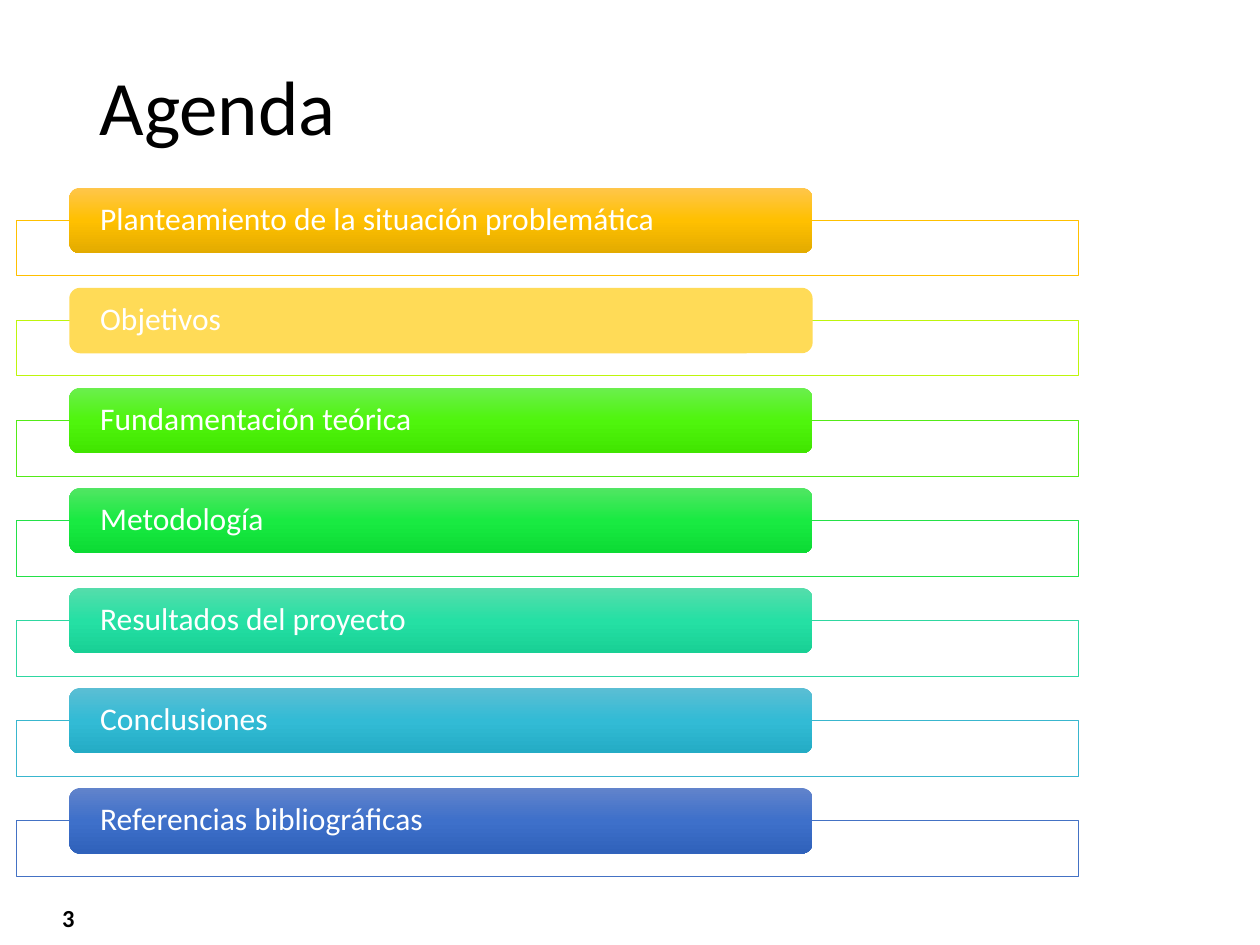
"""Build the agenda slide with seven coloured section bars."""
import copy

import pptx
import pptx.dml.color
import pptx.enum.shapes
import pptx.enum.text
import pptx.oxml
import pptx.oxml.ns
import pptx.util

Inches = pptx.util.Inches
Pt = pptx.util.Pt
RGBColor = pptx.dml.color.RGBColor
Shape = pptx.enum.shapes.MSO_SHAPE
Align = pptx.enum.text.PP_ALIGN
Anchor = pptx.enum.text.MSO_ANCHOR

BLACK = RGBColor(0x00, 0x00, 0x00)
WHITE = RGBColor(0xFF, 0xFF, 0xFF)
AMBER = RGBColor(0xFF, 0xC0, 0x00)
AMBER_LIGHT = RGBColor(0xFF, 0xC6, 0x4B)
AMBER_DARK = RGBColor(0xE3, 0xAB, 0x00)
LIME = RGBColor(0xBE, 0xF5, 0x0C)
YELLOW = RGBColor(0xFF, 0xDB, 0x57)
GRASS = RGBColor(0x53, 0xEB, 0x17)
GRASS_LIGHT = RGBColor(0x6B, 0xEF, 0x4D)
GRASS_MIDDLE = RGBColor(0x4F, 0xF5, 0x0D)
GRASS_DARK = RGBColor(0x41, 0xE5, 0x00)
GREEN = RGBColor(0x23, 0xE1, 0x48)
GREEN_LIGHT = RGBColor(0x51, 0xE6, 0x63)
GREEN_MIDDLE = RGBColor(0x19, 0xEA, 0x42)
GREEN_DARK = RGBColor(0x0C, 0xDB, 0x34)
TEAL = RGBColor(0x2E, 0xD7, 0xA1)
TEAL_LIGHT = RGBColor(0x55, 0xDD, 0xAB)
TEAL_MIDDLE = RGBColor(0x25, 0xE0, 0xA4)
TEAL_DARK = RGBColor(0x18, 0xD0, 0x95)
CYAN = RGBColor(0x39, 0xB6, 0xCE)
CYAN_LIGHT = RGBColor(0x5B, 0xBE, 0xD4)
CYAN_MIDDLE = RGBColor(0x32, 0xBB, 0xD5)
CYAN_DARK = RGBColor(0x24, 0xAC, 0xC5)
BLUE = RGBColor(0x44, 0x72, 0xC4)
BLUE_LIGHT = RGBColor(0x61, 0x83, 0xCB)
BLUE_MIDDLE = RGBColor(0x3E, 0x70, 0xCA)
BLUE_DARK = RGBColor(0x30, 0x62, 0xBB)

SECTIONS = [
    ("Planteamiento de la situación problemática", AMBER, [AMBER_LIGHT, AMBER, AMBER_DARK]),
    ("Objetivos", LIME, [YELLOW]),
    ("Fundamentación teórica", GRASS, [GRASS_LIGHT, GRASS_MIDDLE, GRASS_DARK]),
    ("Metodología", GREEN, [GREEN_LIGHT, GREEN_MIDDLE, GREEN_DARK]),
    ("Resultados del proyecto", TEAL, [TEAL_LIGHT, TEAL_MIDDLE, TEAL_DARK]),
    ("Conclusiones", CYAN, [CYAN_LIGHT, CYAN_MIDDLE, CYAN_DARK]),
    ("Referencias bibliográficas", BLUE, [BLUE_LIGHT, BLUE_MIDDLE, BLUE_DARK]),
]
FIRST_TOP = 1.49
PITCH = 0.794


def write(shape, text, size, color, alignment, bold=False):
    shape.text_frame.vertical_anchor = Anchor.MIDDLE
    paragraph = shape.text_frame.paragraphs[0]
    paragraph.alignment = alignment
    paragraph.line_spacing = 0.9
    run = paragraph.add_run()
    run.text = text
    run.font.name = "Calibri"
    run.font.size = Pt(size)
    run.font.bold = bold
    run.font.color.rgb = color


def paint(fill, colors):
    if len(colors) == 1:
        fill.solid()
        fill.fore_color.rgb = colors[0]
        return
    fill.gradient()
    fill.gradient_angle = 270
    stop_list = shape_stops = bar._element.spPr.find(".//" + pptx.oxml.ns.qn("a:gsLst"))
    stop_list.insert(1, copy.deepcopy(shape_stops[0]))
    for stop, position, color in zip(fill.gradient_stops, (0, 0.5, 1), colors):
        stop.position = position
        stop.color.rgb = color


presentation = pptx.Presentation()
presentation.slide_width = Inches(10)
presentation.slide_height = Inches(7.5)
slide = presentation.slides.add_slide(presentation.slide_layouts[5])

title = slide.shapes.title
title.left, title.top = Inches(0.69), Inches(0.15)
title.width, title.height = Inches(8.62), Inches(1.45)
write(title, "Agenda", 44, BLACK, Align.LEFT)

for index, (name, outline, colors) in enumerate(SECTIONS):
    top = FIRST_TOP + index * PITCH

    frame = slide.shapes.add_shape(
        Shape.RECTANGLE, Inches(0.13), Inches(top + 0.26), Inches(8.43), Inches(0.44))
    frame.shadow.inherit = False
    frame.fill.solid()
    frame.fill.fore_color.rgb = WHITE
    white = frame._element.spPr.find(".//" + pptx.oxml.ns.qn("a:srgbClr"))
    white.append(pptx.oxml.parse_xml(
        f'<a:alpha {pptx.oxml.ns.nsdecls("a")} val="90000"/>'))
    frame.line.color.rgb = outline
    frame.line.width = Pt(0.5)

    bar = slide.shapes.add_shape(
        Shape.ROUNDED_RECTANGLE, Inches(0.55), Inches(top), Inches(5.9), Inches(0.52))
    bar.shadow.inherit = False
    bar.line.fill.background()
    paint(bar.fill, colors)
    bar.text_frame.word_wrap = True
    bar.text_frame.margin_left = bar.text_frame.margin_right = Inches(0.22)
    bar.text_frame.margin_top = bar.text_frame.margin_bottom = 0
    write(bar, name, 18, WHITE, Align.JUSTIFY)

slide_number = slide.shapes.add_textbox(
    Inches(-1.56), Inches(7.1), Inches(2.25), Inches(0.4))
slide_number.text_frame.word_wrap = True
write(slide_number, "3", 14, BLACK, Align.RIGHT, bold=True)

presentation.save("out.pptx")
